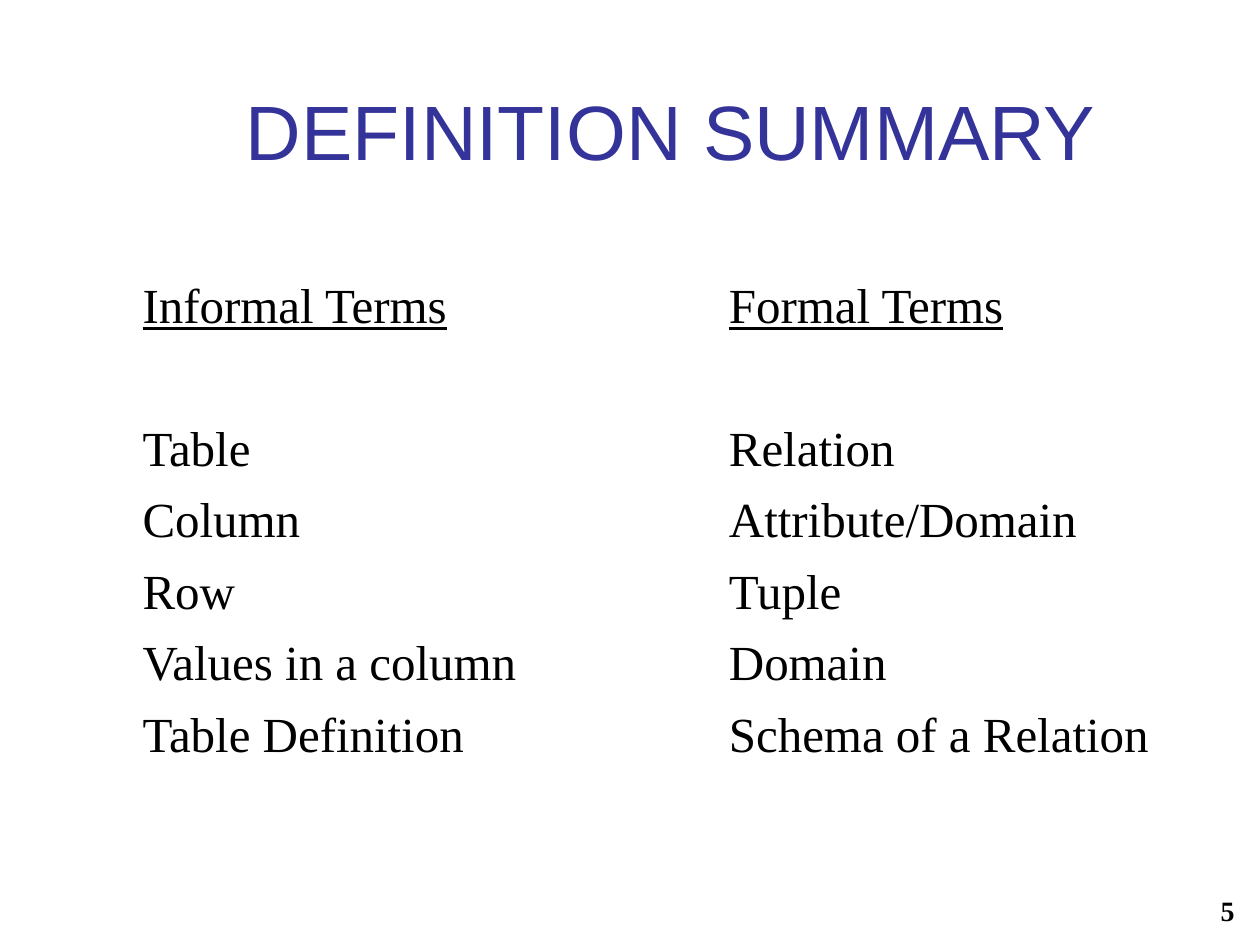
from dataclasses import dataclass

from lxml import etree
from pptx import Presentation
from pptx import util as u
from pptx.dml.color import RGBColor
from pptx.enum import text
from pptx.oxml.ns import qn


@dataclass(frozen=True)
class Theme:
    heading_font: str = "Arial"
    body_font: str = "Times New Roman"
    heading: str = "333399"
    ink: str = "000000"
    paper: str = "FFFFFF"
    title_size: int = 44
    table_size: int = 28
    number_size: int = 16
    outer_line: float = 1.08
    inner_line: float = 0.45


TERMS = [
    ("Informal Terms", "", "Formal Terms"),
    ("", "", ""),
    ("Table", "", "Relation"),
    ("Column", "", "Attribute/Domain"),
    ("Row", "", "Tuple"),
    ("Values in a column", "", "Domain"),
    ("Table Definition", "", "Schema of a Relation"),
    ("", "", ""),
]


class SlideBuilder:
    def __init__(self, slide, theme):
        self.s = slide
        self.theme = theme
        fill = slide.background.fill
        fill.solid()
        fill.fore_color.rgb = RGBColor.from_string(theme.paper)

    def style(self, p, font, size, color, bold=False, underline=False):
        f = p.font
        f.name, f.size = font, u.Pt(size)
        f.bold, f.underline = bold, underline
        f.color.rgb = RGBColor.from_string(color)

    def place(self, sp, left, top, width, height):
        sp.left, sp.top = u.Cm(left), u.Cm(top)
        sp.width, sp.height = u.Cm(width), u.Cm(height)

    def title(self, words, *box):
        sp = self.s.shapes.title
        self.place(sp, *box)
        tf = sp.text_frame
        tf.text = words
        tf.vertical_anchor = text.MSO_ANCHOR.MIDDLE
        p = tf.paragraphs[0]
        p.alignment = text.PP_ALIGN.CENTER
        self.style(p, self.theme.heading_font, self.theme.title_size, self.theme.heading)

    def page_number(self, number, *box):
        sp = self.s.shapes.add_textbox(*map(u.Cm, box))
        tf = sp.text_frame
        tf.word_wrap = True
        tf.vertical_anchor = text.MSO_ANCHOR.MIDDLE
        tf.text = str(number)
        p = tf.paragraphs[0]
        p.alignment = text.PP_ALIGN.RIGHT
        self.style(p, self.theme.body_font, self.theme.number_size, self.theme.ink, bold=True)

    def borders(self, cell, outer_sides):
        """Draw all four borders, heavier on the sides at the table's edge."""
        tc_pr = cell._tc.get_or_add_tcPr()
        for side in "LRTB":
            width = self.theme.outer_line if side in outer_sides else self.theme.inner_line
            ln = etree.SubElement(tc_pr, qn(f"a:ln{side}"), w=str(u.Pt(width)))
            fill = etree.SubElement(ln, qn("a:solidFill"))
            etree.SubElement(fill, qn("a:srgbClr"), val=self.theme.paper)

    def table(self, rows, left, top, widths, row_height):
        last_row, last_col = len(rows) - 1, len(widths) - 1
        box = left, top, sum(widths), row_height * len(rows)
        tbl = self.s.shapes.add_table(len(rows), len(widths), *map(u.Cm, box)).table
        tbl.first_row = tbl.horz_banding = False
        for column, width in zip(tbl.columns, widths):
            column.width = u.Cm(width)
        for r, row in enumerate(rows):
            tbl.rows[r].height = u.Cm(row_height)
            for c, words in enumerate(row):
                cell = tbl.cell(r, c)
                edges = {"T": r == 0, "B": r == last_row, "L": c == 0, "R": c == last_col}
                self.borders(cell, [side for side, outer in edges.items() if outer])
                cell.fill.background()
                if words:
                    cell.text = words
                    self.style(cell.text_frame.paragraphs[0], self.theme.body_font,
                               self.theme.table_size, self.theme.ink, underline=r == 0)


def main():
    prs = Presentation()
    prs.slide_width, prs.slide_height = u.Cm(25.4), u.Cm(19.05)
    slide = prs.slides.add_slide(prs.slide_layouts[5])
    builder = SlideBuilder(slide, Theme())
    builder.page_number(5, 19.86, 17.81, 5.28, 1.07)
    builder.title("DEFINITION SUMMARY", 3.56, 1.02, 19.94, 3.18)
    builder.table(TERMS, 2.62, 5.51, [8.92, 2.9, 9.07], 1.44)
    prs.save("out.pptx")


if __name__ == "__main__":
    main()
